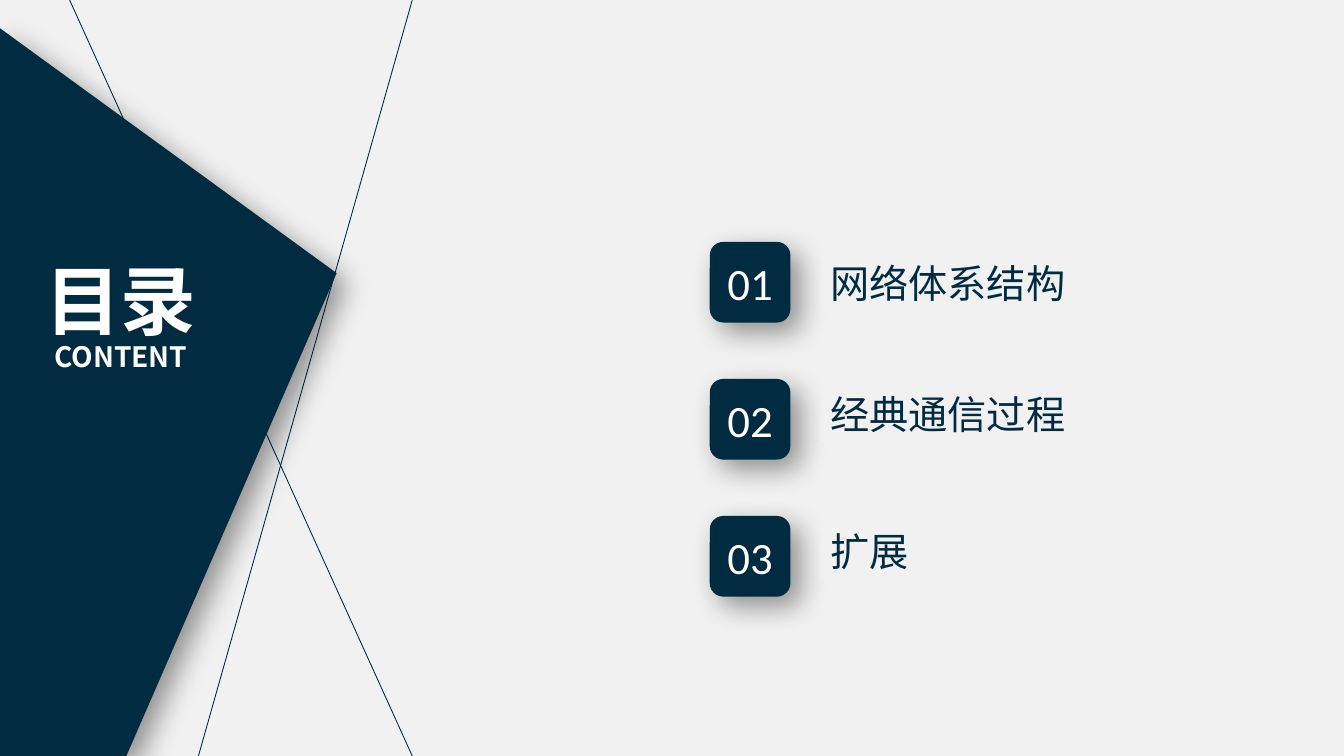
import lxml.etree
import pptx
import pptx.dml.color
import pptx.enum.shapes
import pptx.enum.text
import pptx.oxml
import pptx.oxml.ns
import pptx.util

Pt = pptx.util.Pt
NAVY = pptx.dml.color.RGBColor(0x00, 0x2B, 0x41)
WHITE = pptx.dml.color.RGBColor(0xFF, 0xFF, 0xFF)
PALE = pptx.dml.color.RGBColor(0xF1, 0xF1, 0xF1)
CJK = "Noto Sans CJK SC"
SHADOW = (
    '<a:effectLst %s><a:outerShdw blurRad="254000" dist="127000" dir="2700000" algn="tl"'
    ' rotWithShape="0"><a:srgbClr val="000000"><a:alpha val="40000"/></a:srgbClr>'
    "</a:outerShdw></a:effectLst>" % pptx.oxml.ns.nsdecls("a")
)


def write(p, text, size, color, font=CJK, bold=False, align=pptx.enum.text.PP_ALIGN.LEFT, spacing=1.0):
    p.alignment = align
    p.line_spacing = spacing
    r = p.add_run()
    r.text = text
    r.font.size = Pt(size)
    r.font.bold = bold
    r.font.color.rgb = color
    r.font.name = font
    ea = lxml.etree.SubElement(r.font._element, pptx.oxml.ns.qn("a:ea"))
    ea.set("typeface", font)


def paint(sp, color, shadow=False):
    sp.fill.solid()
    sp.fill.fore_color.rgb = color
    sp.line.fill.background()
    if shadow:
        sp._element.spPr.append(pptx.oxml.parse_xml(SHADOW))
    else:
        sp.shadow.inherit = False


prs = pptx.Presentation()
prs.slide_width, prs.slide_height = Pt(960), Pt(540)
s = prs.slides.add_slide(prs.slide_layouts[5])
s.background.fill.solid()
s.background.fill.fore_color.rgb = PALE
center = pptx.enum.text.PP_ALIGN.CENTER
middle = pptx.enum.text.MSO_ANCHOR.MIDDLE

# Crossing thin lines
lines = s.shapes.add_group_shape()
for x1, y1, x2, y2 in ((294.5, 0, 139.7, 547.2), (294.5, 540, 43.2, -14.4)):
    line = lines.shapes.add_connector(
        pptx.enum.shapes.MSO_CONNECTOR.STRAIGHT, Pt(x1), Pt(y1), Pt(x2), Pt(y2))
    line.line.color.rgb = NAVY
    line.line.width = Pt(0.63)
    lxml.etree.SubElement(line._element.spPr, pptx.oxml.ns.qn("a:effectLst"))

# Dark panel on the left
builder = s.shapes.build_freeform(Pt(90), Pt(540.7))
builder.add_line_segments(
    [(Pt(0), Pt(540.7)), (Pt(0), Pt(20.2)), (Pt(240.5), Pt(195.1))], close=True)
paint(builder.convert_to_shape(), NAVY, shadow=True)

# Title, brought in front of the panel
title = s.shapes.title
s.shapes._spTree.append(title._element)
title.left, title.top, title.width, title.height = Pt(17.3), Pt(172.8), Pt(138.2), Pt(97.2)
tf = title.text_frame
tf.word_wrap = True
tf.auto_size = pptx.enum.text.MSO_AUTO_SIZE.NONE
tf.vertical_anchor = middle
write(tf.paragraphs[0], "目录", 54, WHITE, bold=True, align=center, spacing=Pt(70))
write(tf.add_paragraph(), "CONTENT", 20, WHITE, bold=True, align=center, spacing=Pt(20))

# Numbered contents
items = (("网络体系结构", 181.4), ("经典通信过程", 275), ("扩展", 373))
for i, (text, top) in enumerate(items):
    tile = s.shapes.add_shape(
        pptx.enum.shapes.MSO_SHAPE.ROUNDED_RECTANGLE,
        Pt(507), Pt(172.8 + 97.9 * i), Pt(57.6), Pt(57.6))
    paint(tile, NAVY, shadow=True)
    tf = tile.text_frame
    tf.word_wrap = False
    tf.vertical_anchor = middle
    write(tf.paragraphs[0], f"{i + 1:02d}", 32, WHITE, font="Calibri", align=center)

    label = s.shapes.add_shape(
        pptx.enum.shapes.MSO_SHAPE.RECTANGLE, Pt(586.1), Pt(top), Pt(228.2), Pt(41))
    paint(label, PALE)
    tf = label.text_frame
    tf.word_wrap = True
    tf.vertical_anchor = middle
    write(tf.paragraphs[0], text, 28, NAVY)

prs.save("out.pptx")
